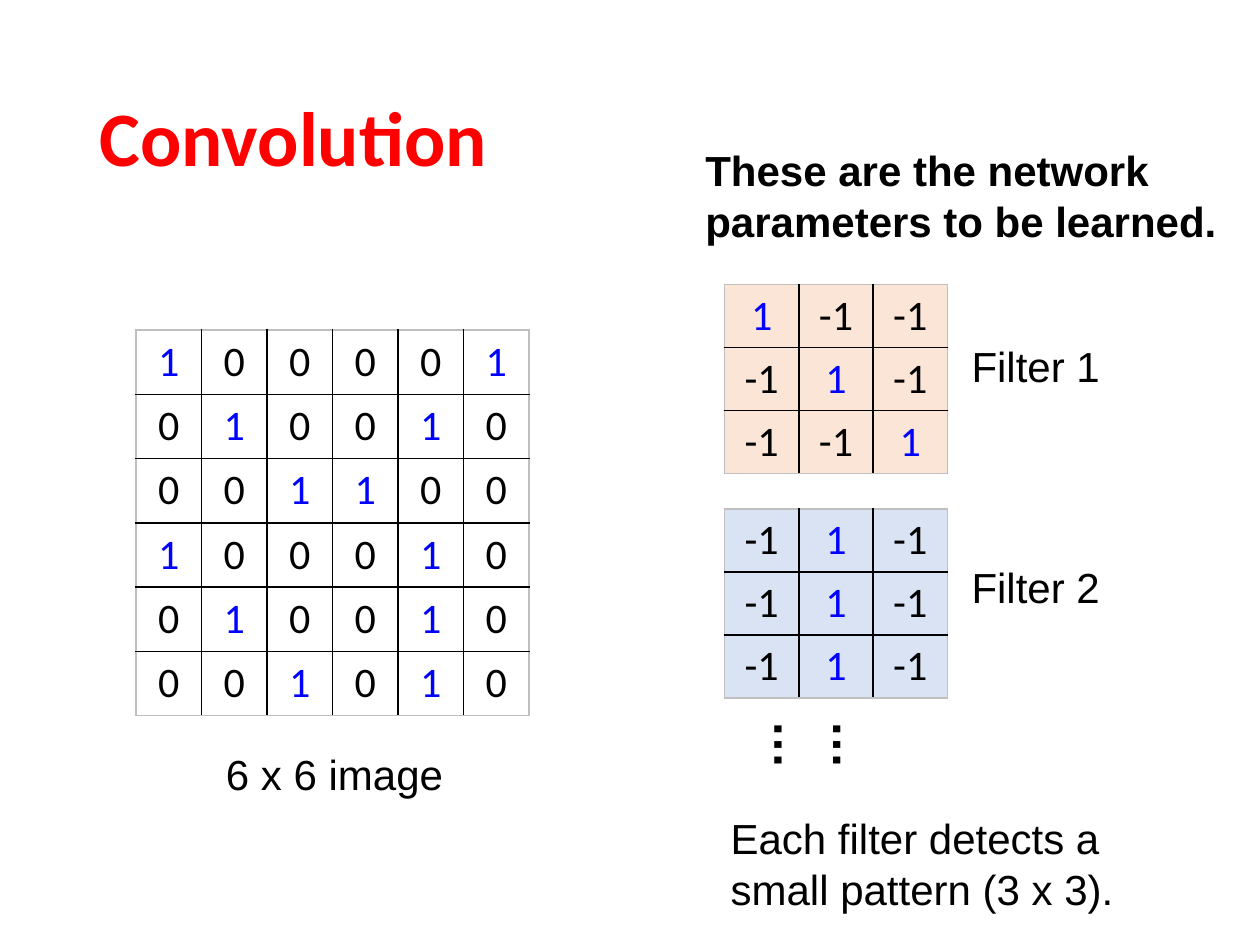
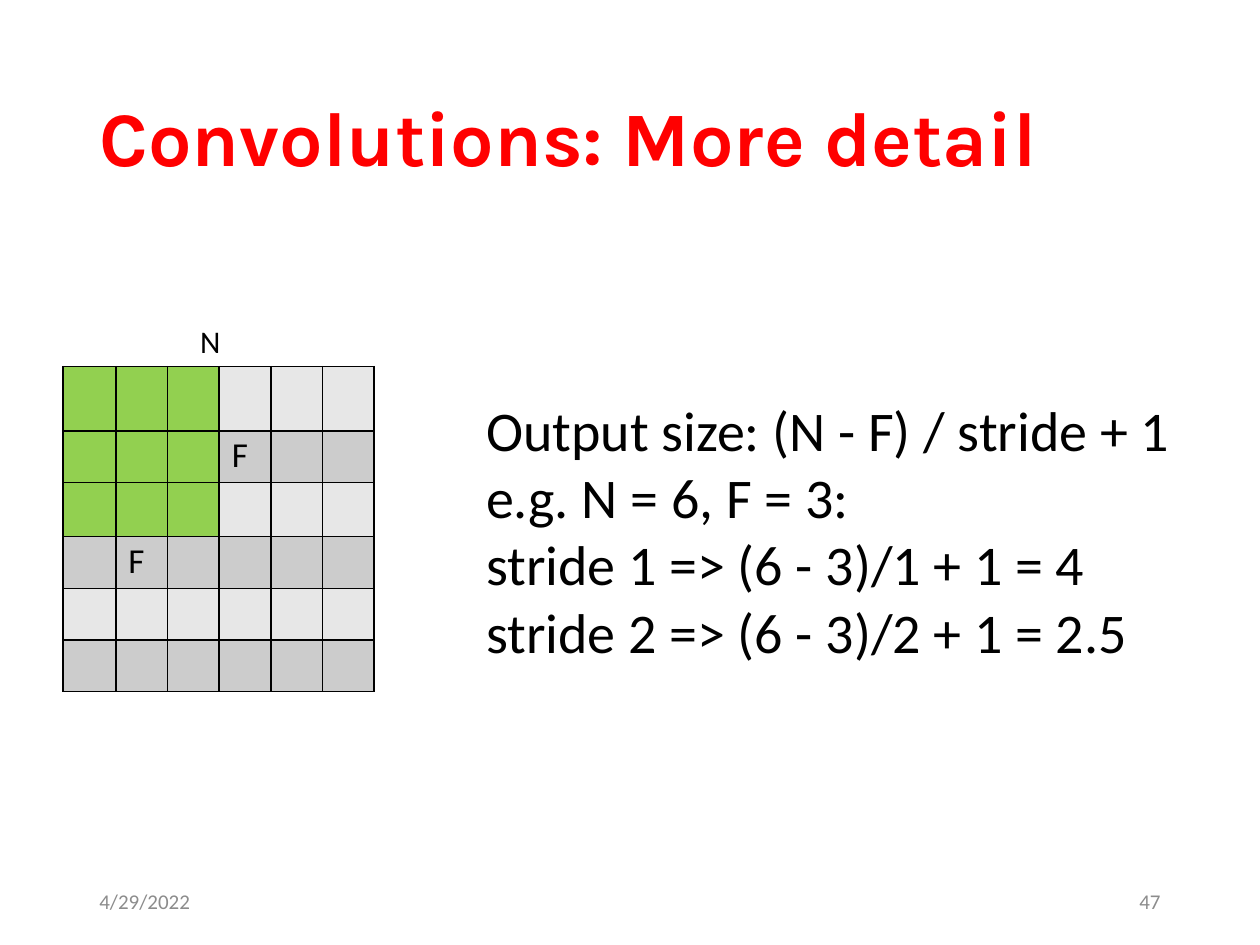
from lxml import etree
from pptx import Presentation
from pptx.dml.color import RGBColor
from pptx.enum.text import MSO_ANCHOR, MSO_AUTO_SIZE, PP_ALIGN
from pptx.oxml.ns import qn
from pptx.util import Inches, Pt

LEFT, CENTER, RIGHT = PP_ALIGN.LEFT, PP_ALIGN.CENTER, PP_ALIGN.RIGHT
TOP, MIDDLE = MSO_ANCHOR.TOP, MSO_ANCHOR.MIDDLE
FIT_SHAPE, FIXED = MSO_AUTO_SIZE.SHAPE_TO_FIT_TEXT, MSO_AUTO_SIZE.NONE

BLACK = RGBColor(0x00, 0x00, 0x00)
RED = RGBColor(0xFF, 0x00, 0x00)
BLUE = RGBColor(0x00, 0x00, 0xFF)
FOOTER_GRAY = RGBColor(0x8C, 0x8C, 0x8C)
EDGE_GRAY = RGBColor(0xBF, 0xBF, 0xBF)
PEACH = RGBColor(0xFB, 0xE5, 0xD6)
PALE_BLUE = RGBColor(0xDA, 0xE3, 0xF3)
GREEN = RGBColor(0x92, 0xD0, 0x50)
LIGHT_BAND = RGBColor(0xE7, 0xE7, 0xE7)
DARK_BAND = RGBColor(0xCC, 0xCC, 0xCC)

TITLE_ONLY = 5
LABEL = {"name": "Arial", "size": Pt(24)}
BODY = {"name": "Calibri", "size": Pt(32)}
DIGIT = {"name": "Calibri", "size": Pt(24)}
FOOTER = {"name": "Calibri", "size": Pt(12), "color": FOOTER_GRAY}


class Deck:
    """Holds the shared style and the slide being built."""

    def __init__(self):
        self.presentation = Presentation()
        self.presentation.slide_width = Inches(10)
        self.presentation.slide_height = Inches(7.5)
        self.slide = None

    def format_paragraph(self, paragraph, style, align=LEFT):
        paragraph.alignment = align
        for name, value in {"color": BLACK, **style}.items():
            if name == "color":
                paragraph.font.color.rgb = value
            else:
                setattr(paragraph.font, name, value)

    def add_slide(self, title, font_name):
        layout = self.presentation.slide_layouts[TITLE_ONLY]
        self.slide = self.presentation.slides.add_slide(layout)
        shape = self.slide.shapes.title
        place = {"left": 0.69, "top": 0.4, "width": 8.62, "height": 1.45}
        for name, value in place.items():
            setattr(shape, name, Inches(value))
        frame = shape.text_frame
        frame.text = title
        frame.auto_size = FIXED
        frame.vertical_anchor = MIDDLE
        paragraph = frame.paragraphs[0]
        paragraph.line_spacing = 0.9
        style = {"name": font_name, "size": Pt(44), "bold": True, "color": RED}
        self.format_paragraph(paragraph, style)

    def add_text(self, box, text, style, align=LEFT, anchor=TOP,
                 fit=FIT_SHAPE, wrap=True, rotation=0):
        shape = self.slide.shapes.add_textbox(*map(Inches, box))
        shape.rotation = rotation
        frame = shape.text_frame
        frame.text = text
        frame.word_wrap = wrap
        frame.auto_size = fit
        frame.vertical_anchor = anchor
        for paragraph in frame.paragraphs:
            self.format_paragraph(paragraph, style, align)

    def add_table(self, left, top, column_widths, row_heights):
        shape = self.slide.shapes.add_table(
            len(row_heights), len(column_widths), Inches(left), Inches(top),
            Inches(sum(column_widths)), Inches(sum(row_heights)))
        table = shape.table
        table.first_row = table.horz_banding = False
        for column, width in zip(table.columns, column_widths):
            column.width = Inches(width)
        for row, height in zip(table.rows, row_heights):
            row.height = Inches(height)
        return table

    def format_cell(self, cell, borders, fill, margin_x, margin_y):
        properties = cell._tc.get_or_add_tcPr()
        for side, color in zip(("lnL", "lnR", "lnT", "lnB"), borders):
            line = etree.SubElement(properties, qn(f"a:{side}"), w=str(Pt(1)))
            solid = etree.SubElement(line, qn("a:solidFill"))
            etree.SubElement(solid, qn("a:srgbClr"), val=str(color))
        if fill is None:
            cell.fill.background()
        else:
            cell.fill.solid()
            cell.fill.fore_color.rgb = fill
        cell.margin_left = cell.margin_right = Inches(margin_x)
        cell.margin_top = cell.margin_bottom = Inches(margin_y)

    def add_matrix(self, left, top, cell_width, cell_height, rows, fill=None):
        """Square number grid with a gray edge; every 1 is blue."""
        size = len(rows)
        table = self.add_table(left, top, [cell_width] * size, [cell_height] * size)
        for row, values in enumerate(rows):
            for column, value in enumerate(values):
                cell = table.cell(row, column)
                on_edge = (column == 0, column == size - 1, row == 0, row == size - 1)
                borders = [EDGE_GRAY if edge else BLACK for edge in on_edge]
                self.format_cell(cell, borders, fill, 0.1, 0.04)
                cell.vertical_anchor = MIDDLE
                cell.text = str(value)
                style = {**DIGIT, "color": BLUE if value == 1 else BLACK}
                self.format_paragraph(cell.text_frame.paragraphs[0], style, CENTER)

    def add_window_grid(self, left, top, column_widths, row_heights, window, labels):
        """Banded grid with a green filter window in its top left corner."""
        table = self.add_table(left, top, column_widths, row_heights)
        for row in range(len(row_heights)):
            for column in range(len(column_widths)):
                cell = table.cell(row, column)
                band = DARK_BAND if row % 2 else LIGHT_BAND
                fill = GREEN if max(row, column) < window else band
                self.format_cell(cell, [BLACK] * 4, fill, 0.1, 0)
                cell.text = labels.get((row, column), "")
                paragraph = cell.text_frame.paragraphs[0]
                paragraph.line_spacing = 1.07
                size = Pt(20) if cell.text else Pt(11)
                self.format_paragraph(paragraph, {"name": "Calibri", "size": size})


def build_convolution(deck):
    deck.add_slide("Convolution", "Calibri")

    # Input image
    image = [
        [1, 0, 0, 0, 0, 1],
        [0, 1, 0, 0, 1, 0],
        [0, 0, 1, 1, 0, 0],
        [1, 0, 0, 0, 1, 0],
        [0, 1, 0, 0, 1, 0],
        [0, 0, 1, 0, 1, 0],
    ]
    deck.add_matrix(1.08, 2.62, 0.52, 0.51, image)
    deck.add_text((1.37, 5.89, 2.57, 0.5), "6 x 6 image", LABEL, CENTER)

    # Filters with their names
    diagonal = [[1, -1, -1], [-1, 1, -1], [-1, -1, 1]]
    vertical = [[-1, 1, -1]] * 3
    filters = [
        ("Filter 1", diagonal, PEACH, 2.26, 2.65),
        ("Filter 2", vertical, PALE_BLUE, 4.04, 4.41),
    ]
    for name, rows, fill, top, label_top in filters:
        deck.add_matrix(5.75, top, 0.59, 0.5, rows, fill)
        deck.add_text((7.43, label_top, 1.58, 0.51), name, LABEL, CENTER)
    dots = {"name": "Arial", "size": Pt(28), "bold": True}
    deck.add_text((6.38, 5.72, 0.77, 0.57), "……", dots, rotation=90)

    # Remarks
    deck.add_text((5.5, 1.1, 4.33, 0.91),
                  "These are the network parameters to be learned.",
                  {**LABEL, "bold": True})
    deck.add_text((5.7, 6.4, 3.89, 0.91),
                  "Each filter detects a small pattern (3 x 3).", LABEL)


def build_more_detail(deck):
    deck.add_slide("Convolutions: More detail", "Karla")

    # Footer
    for left, text, align in ((0.69, "4/29/2022", LEFT), (7.06, "47", RIGHT)):
        deck.add_text((left, 6.95, 2.25, 0.4), text, FOOTER, align, MIDDLE, FIXED)

    # N x N grid with the F x F window
    deck.add_window_grid(0.5, 2.91, [0.42] + [0.41] * 5,
                         [0.51, 0.41, 0.43, 0.41, 0.41, 0.41],
                         window=3, labels={(1, 3): "F", (3, 1): "F"})
    deck.add_text((1.49, 2.51, 0.36, 0.4), "N",
                  {"name": "Calibri", "size": Pt(18)}, wrap=False)

    # Output size rule
    lines = [
        "Output size: (N - F) / stride + 1",
        "e.g. N = 6, F = 3:",
        "stride 1 => (6 - 3)/1 + 1 = 4",
        "stride 2 => (6 - 3)/2 + 1 = 2.5",
    ]
    deck.add_text((3.76, 3.09, 6.11, 2.26), "\n".join(lines), BODY)


def main():
    deck = Deck()
    build_convolution(deck)
    build_more_detail(deck)
    deck.presentation.save("out.pptx")


if __name__ == "__main__":
    main()
